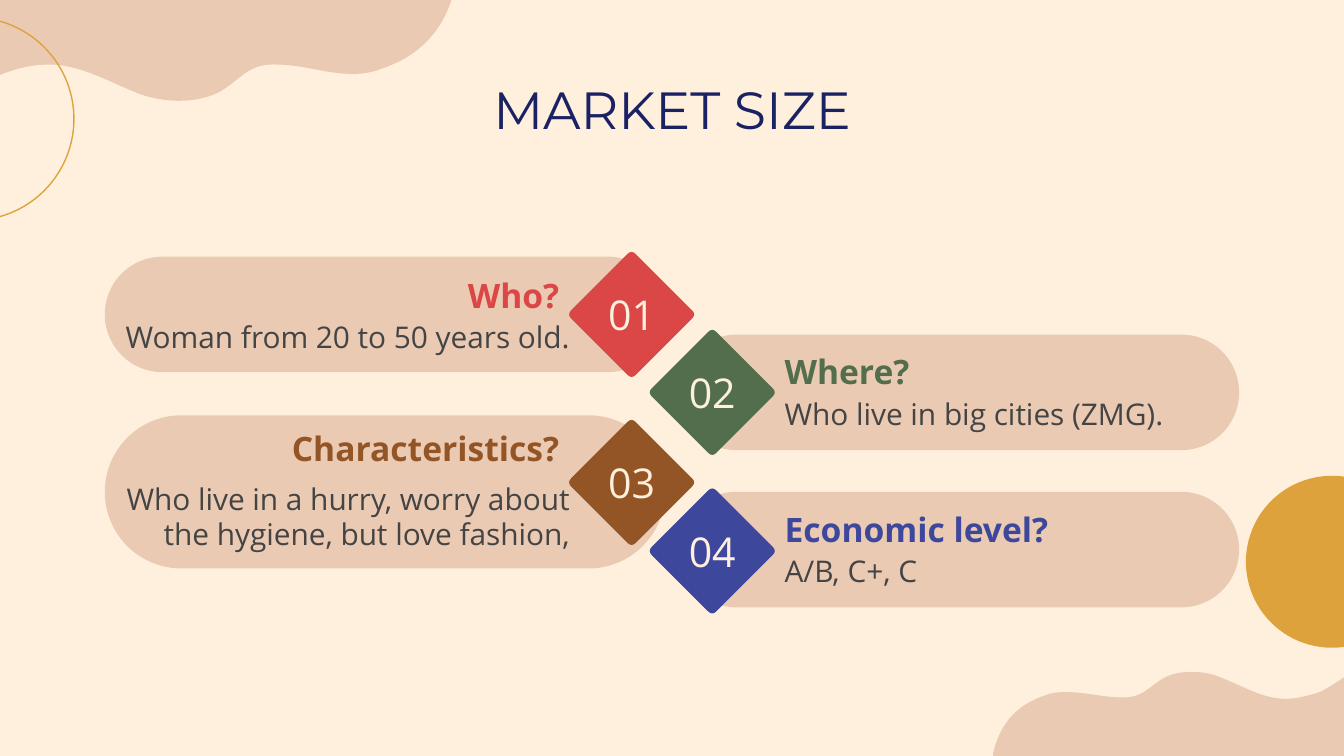
from dataclasses import dataclass

from lxml.etree import SubElement
from pptx import Presentation
from pptx.dml.color import RGBColor
from pptx.enum.shapes import MSO_SHAPE
from pptx.enum.text import MSO_ANCHOR, PP_ALIGN
from pptx.oxml.ns import qn
from pptx.util import Emu, Inches, Pt

# Grid: ten square columns across a 16:9 slide
WIDE = Inches(10)
HIGH = Emu(WIDE * 9 // 16)
COLS = 10
ROWS = COLS * HIGH / WIDE
Step = tuple[float, ...]


@dataclass(frozen=True)
class Theme:
    back: str = "FFF0DE"
    sand: str = "EBCAB3"
    gold: str = "DEA23C"
    navy: str = "1A2263"
    grey: str = "444444"
    title: int = 28
    number: int = 22
    head: int = 18
    body: int = 16
    font: str = "Open Sans"
    display: str = "Montserrat"


@dataclass(frozen=True)
class Box:
    left: float
    top: float
    wide: float
    high: float


@dataclass(frozen=True)
class Side:
    card: float
    mid: float
    head: float
    body: float
    body_wide: float
    align: PP_ALIGN


@dataclass(frozen=True)
class Card:
    side: Side
    top: float
    head: str
    body: str
    color: str
    high: float = 0.86
    mid: float = 0.43
    head_top: float = 0.14
    body_top: float = 0.45
    head_high: float = 0.27
    body_high: float = 0.27


THEME = Theme()
CARD_WIDE, HEAD_WIDE = 4.17, 3.33
LEFT = Side(0.78, 4.7, 0.93, 0.77, 3.57, PP_ALIGN.RIGHT)
RIGHT = Side(5.05, 5.3, 5.74, 5.74, HEAD_WIDE, PP_ALIGN.LEFT)

CARDS = [
    Card(LEFT, 1.91, "Who?", "Woman from 20 to 50 years old.", "DB4646",
         head_top=0.15, body_top=0.46),
    Card(RIGHT, 2.49, "Where?", "Who live in big cities (ZMG).", "536E4C"),
    Card(LEFT, 3.09, "Characteristics?",
         "Who live in a hurry, worry about the hygiene, but love fashion,",
         "945526", high=1.14, mid=0.5, head_top=0.08, body_top=0.48,
         head_high=0.33, body_high=0.54),
    Card(RIGHT, 3.66, "Economic level?", "A/B, C+, C", "3D489C", mid=0.44),
]

# Outlines: two numbers make a straight step, six make a curve
TOP_WAVE = [
    (1.33, 0.75), (1.44, 0.75, 1.55, 0.73, 1.64, 0.68),
    (1.79, 0.59, 1.85, 0.48, 2.03, 0.48), (2.04, 0.48, 2.04, 0.48, 2.05, 0.48),
    (2.25, 0.48, 2.43, 0.55, 2.62, 0.55), (2.7, 0.55, 2.78, 0.54, 2.87, 0.5),
    (3.12, 0.41, 3.28, 0.24, 3.36, 0), (0, 0), (0, 0.56),
    (0.01, 0.55, 0.01, 0.55, 0.02, 0.55), (0.15, 0.5, 0.26, 0.48, 0.36, 0.48),
    (0.59, 0.48, 0.77, 0.59, 1.04, 0.7), (1.13, 0.73, 1.23, 0.75, 1.33, 0.75),
]
LOW_WAVE = [
    (COLS, ROWS), (COLS, 5.04), (9.94, 5.08, 9.88, 5.12, 9.82, 5.15),
    (9.72, 5.18, 9.64, 5.2, 9.57, 5.2), (9.4, 5.2, 9.28, 5.12, 9.08, 5.04),
    (9.01, 5.01, 8.94, 5, 8.87, 5), (8.79, 5, 8.72, 5.01, 8.65, 5.05),
    (8.54, 5.12, 8.5, 5.19, 8.36, 5.19), (8.36, 5.19, 8.36, 5.19, 8.35, 5.19),
    (8.21, 5.19, 8.08, 5.15, 7.94, 5.15), (7.88, 5.15, 7.83, 5.15, 7.76, 5.18),
    (7.56, 5.25, 7.44, 5.39, 7.39, 5.6), (7.39, 5.61, 7.39, 5.62, 7.39, ROWS),
]


def cell(span: float) -> Emu:
    return Emu(round(span * WIDE / COLS))


def place(box: Box) -> tuple[Emu, ...]:
    return tuple(map(cell, (box.left, box.top, box.wide, box.high)))


def paint(shape, fill: str | None, line: str | None = None) -> None:
    shape.shadow.inherit = False
    if fill:
        shape.fill.solid()
        shape.fill.fore_color.rgb = RGBColor.from_string(fill)
    else:
        shape.fill.background()
    if line:
        shape.line.color.rgb = RGBColor.from_string(line)
        shape.line.width = Pt(0.75)
    else:
        shape.line.fill.background()


def write(shape, text: str, size: int, color: str, align: PP_ALIGN,
          bold: bool = False, font: str = THEME.font) -> None:
    frame = shape.text_frame
    frame.word_wrap = True
    frame.vertical_anchor = MSO_ANCHOR.MIDDLE
    frame.margin_left = frame.margin_right = Inches(0.1)
    frame.margin_top = frame.margin_bottom = Inches(0.1)
    para = frame.paragraphs[0]
    para.text, para.alignment = text, align
    para.font.name, para.font.size, para.font.bold = font, Pt(size), bold
    para.font.color.rgb = RGBColor.from_string(color)


def shape_at(slide, kind: MSO_SHAPE, box: Box, fill: str | None,
             line: str | None = None):
    shape = slide.shapes.add_shape(kind, *place(box))
    paint(shape, fill, line)
    return shape


def outline(slide, steps: list[Step], fill: str):
    points = [(cell(x), cell(y)) for step in steps
              for x, y in zip(step[::2], step[1::2])]
    pen = slide.shapes.build_freeform(*points[0])
    pen.add_line_segments(points[1:], close=True)
    shape = pen.convert_to_shape()
    # Join each three points of a curved step into one Bézier
    lines = iter(shape.element.findall(".//" + qn("a:lnTo")))
    for step in steps[1:]:
        first = next(lines)
        if len(step) == 6:
            curve = SubElement(first.getparent(), qn("a:cubicBezTo"))
            first.addprevious(curve)
            for node in (first, next(lines), next(lines)):
                curve.append(node[0])
                node.getparent().remove(node)
    paint(shape, fill)
    return shape


def diamond(x: float, y: float) -> list[Step]:
    """Turn one rounded corner through four quarters."""
    corner = [(-0.03, -0.45), (-0.01, -0.47), (0.01, -0.47), (0.03, -0.45)]
    steps: list[Step] = []
    for _ in range(4):
        spots = [(x + dx, y + dy) for dx, dy in corner]
        steps += [spots[0], spots[1] + spots[2] + spots[3]]
        corner = [(-dy, dx) for dx, dy in corner]
    return steps


def label(shapes, box: Box, *args, **style) -> None:
    write(shapes.add_textbox(*place(box)), *args, **style)


def fill_card(slide, card: Card, number: int) -> None:
    side = card.side
    badge = outline(slide, diamond(side.mid, card.top + card.mid), card.color)
    write(badge, f"{number:02}", THEME.number, THEME.back, PP_ALIGN.CENTER)
    group = slide.shapes.add_group_shape().shapes
    label(group, Box(side.body, card.top + card.body_top, side.body_wide, card.body_high),
          card.body, THEME.body, THEME.grey, side.align)
    label(group, Box(side.head, card.top + card.head_top, HEAD_WIDE, card.head_high),
          card.head, THEME.head, card.color, side.align, bold=True)


def main() -> None:
    deck = Presentation()
    deck.slide_width, deck.slide_height = WIDE, HIGH
    slide = deck.slides.add_slide(deck.slide_layouts[6])
    slide.background.fill.solid()
    slide.background.fill.fore_color.rgb = RGBColor.from_string(THEME.back)

    # Waves and circles at the edges
    outline(slide, LOW_WAVE, THEME.sand)
    shape_at(slide, MSO_SHAPE.OVAL, Box(9.27, 3.54, 1.28, 1.28), THEME.gold)
    outline(slide, TOP_WAVE, THEME.sand)
    shape_at(slide, MSO_SHAPE.OVAL, Box(-0.96, 0.13, 1.51, 1.51), None, THEME.gold)

    # Title
    label(slide.shapes, Box(0.78, 0.49, 8.44, 0.63), "MARKET SIZE", THEME.title,
          THEME.navy, PP_ALIGN.CENTER, font=THEME.display)

    # Cards behind, then badges and wording
    for card in CARDS:
        pill = shape_at(slide, MSO_SHAPE.ROUNDED_RECTANGLE,
                        Box(card.side.card, card.top, CARD_WIDE, card.high), THEME.sand)
        pill.adjustments[0] = 0.5
    for number, card in enumerate(CARDS, 1):
        fill_card(slide, card, number)

    deck.save("out.pptx")


if __name__ == "__main__":
    main()
